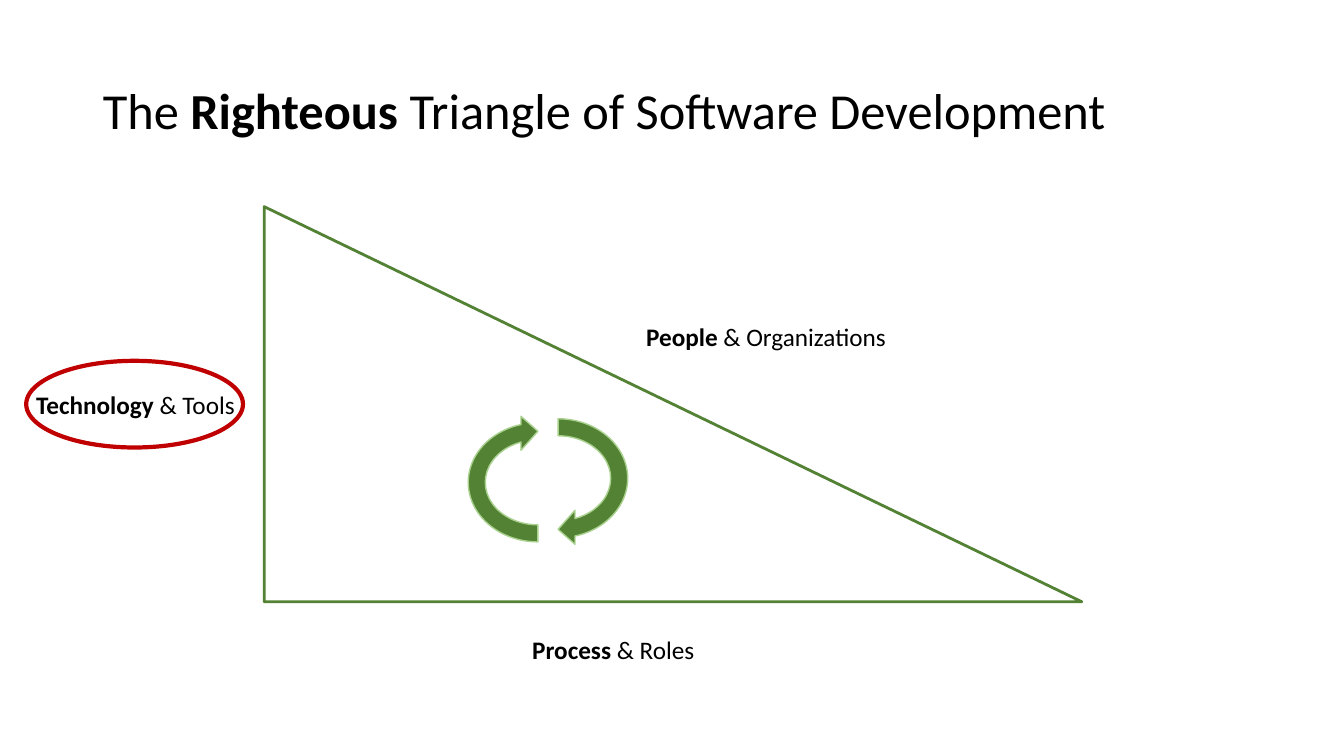
from typing import NamedTuple, Optional

from pptx import Presentation
from pptx.dml.color import RGBColor
from pptx.enum.shapes import MSO_SHAPE as Preset
from pptx.enum.text import MSO_ANCHOR as Anchor, MSO_AUTO_SIZE as AutoSize, PP_ALIGN as Align
from pptx.util import Inches, Pt

GREEN, LIGHT_GREEN, RED, BLACK = "548235", "A9D18E", "C00000", "000000"


class Figure(NamedTuple):
    preset: Preset
    box: tuple[float, float, float, float]
    line: str
    line_width: float
    fill: Optional[str] = None
    rotation: float = 0


class Label(NamedTuple):
    left: float
    top: float
    strong: str
    rest: str


TRIANGLE = Figure(Preset.RIGHT_TRIANGLE, (2.62, 2.05, 8.11, 3.92), GREEN, 2)
LABELS = [
    Label(6.31, 3.14, "People", " & Organizations"),
    Label(5.18, 6.24, "Process", " & Roles"),
    Label(0.26, 3.81, "Technology", " & Tools"),
]
CYCLE_ARROWS = [
    Figure(Preset.CIRCULAR_ARROW, (left, top, 1.35, 1.55), LIGHT_GREEN, 1, GREEN, rotation)
    for left, top, rotation in [(4.86, 3.97, 90), (4.66, 4.01, 270)]
]
HIGHLIGHT = Figure(Preset.OVAL, (0.26, 3.58, 2.15, 0.86), RED, 3)


def color(value: str) -> RGBColor:
    return RGBColor.from_string(value)


def write_text(frame, runs, *, size, line_spacing=None, anchor=Anchor.TOP, auto_size=AutoSize.NONE):
    """Fill a text frame with (text, bold) runs in one left-aligned paragraph."""
    frame.word_wrap = True
    frame.auto_size = auto_size
    frame.vertical_anchor = anchor
    paragraph = frame.paragraphs[0]
    paragraph.alignment = Align.LEFT
    paragraph.line_spacing = line_spacing
    for text, bold in runs:
        run = paragraph.add_run()
        run.text = text
        run.font.name = "Calibri"
        run.font.size = Pt(size)
        run.font.bold = bold
        run.font.color.rgb = color(BLACK)


def draw_figure(slide, figure: Figure) -> None:
    shape = slide.shapes.add_shape(figure.preset, *map(Inches, figure.box))
    shape.shadow.inherit = False
    shape.rotation = figure.rotation
    shape.line.color.rgb = color(figure.line)
    shape.line.width = Pt(figure.line_width)
    if figure.fill:
        shape.fill.solid()
        shape.fill.fore_color.rgb = color(figure.fill)
    else:
        shape.fill.background()


def draw_label(slide, label: Label) -> None:
    box = slide.shapes.add_textbox(*map(Inches, (label.left, label.top, 2.98, 0.4)))
    write_text(box.text_frame, [(label.strong, True), (label.rest, False)],
               size=18, auto_size=AutoSize.SHAPE_TO_FIT_TEXT)


def main() -> None:
    presentation = Presentation()
    presentation.slide_width, presentation.slide_height = Inches(13.33), Inches(7.5)
    slide = presentation.slides.add_slide(presentation.slide_layouts[5])

    # Title
    title = slide.shapes.title
    title.left, title.top, title.width, title.height = map(Inches, (0.92, 0.4, 11.5, 1.45))
    write_text(title.text_frame,
               [("The ", False), ("Righteous", True), (" Triangle of Software Development", False)],
               size=36, line_spacing=0.9, anchor=Anchor.MIDDLE)

    # Triangle and the labels of its sides
    draw_figure(slide, TRIANGLE)
    for label in LABELS:
        draw_label(slide, label)

    # Cycle arrows and the ring around the technology side
    for figure in [*CYCLE_ARROWS, HIGHLIGHT]:
        draw_figure(slide, figure)

    presentation.save("out.pptx")


if __name__ == "__main__":
    main()
